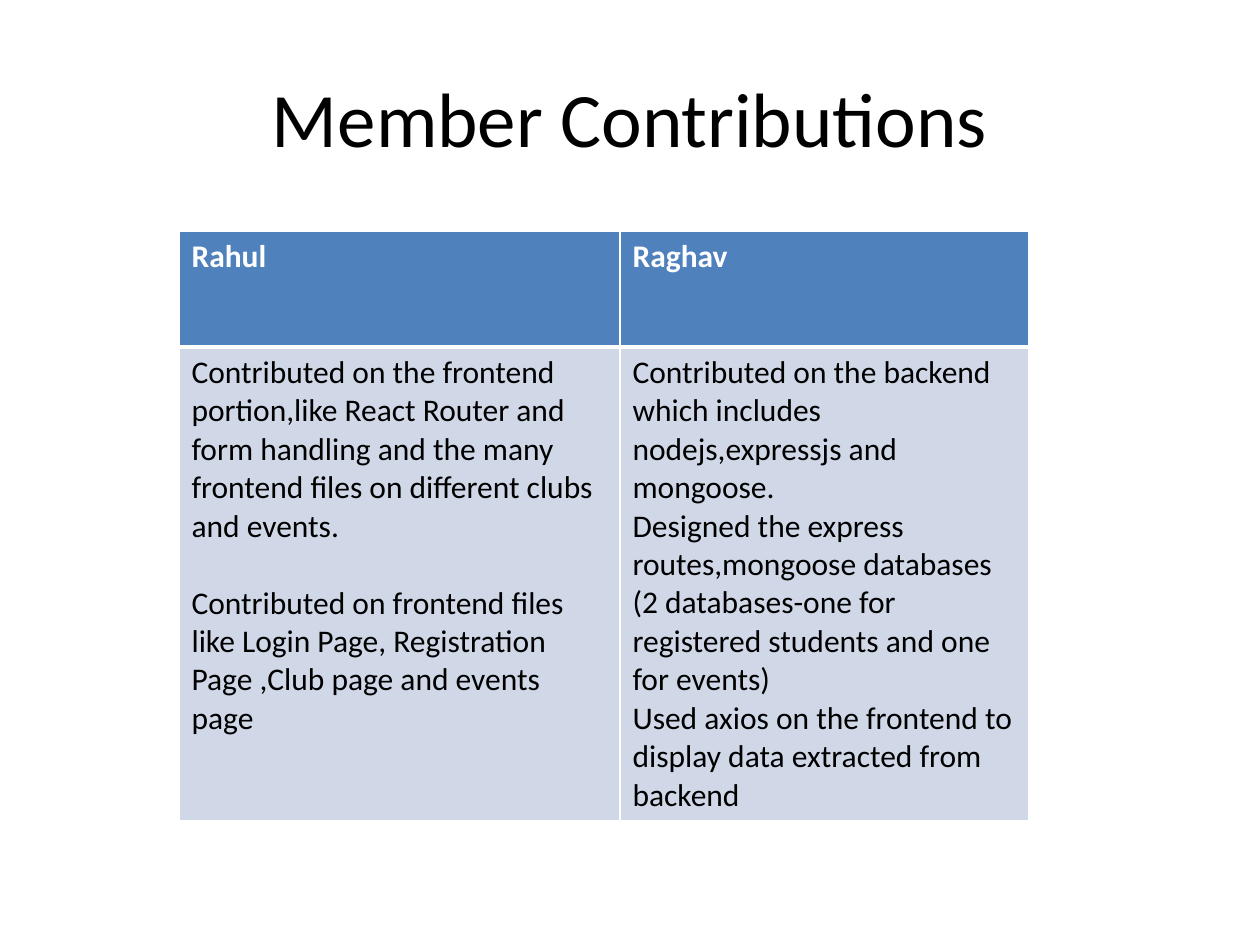
from dataclasses import dataclass

from lxml.etree import SubElement
from pptx import Presentation
from pptx.dml.color import RGBColor
from pptx.enum.text import MSO_ANCHOR, PP_ALIGN
from pptx.oxml.ns import qn
from pptx.util import Emu, Pt

EMU_PER_PIXEL = 914400 / 126
FONT = "Calibri"
WHITE, BLACK = "FFFFFF", "000000"
HEADER_FILL, BODY_FILL = "4F81BD", "D0D8E8"
HEADER_HEIGHT, BODY_HEIGHT = 116, 472


@dataclass(frozen=True)
class Member:
    """One table column: a member and the work done."""
    name: str
    width: int
    contributions: tuple[str, ...]
    gap: int = 0


MEMBERS = (
    Member("Rahul", 441, (
        "Contributed on the frontend portion,like React Router and form handling "
        "and the many frontend files on different clubs and events.",
        "Contributed on frontend files like Login Page, Registration Page ,"
        "Club page and events page",
    ), gap=22),
    Member("Raghav", 409, (
        "Contributed on the backend which includes nodejs,expressjs and mongoose.",
        "Designed the express routes,mongoose databases",
        "(2 databases-one for registered students and one for events)",
        "Used axios on the frontend to display data extracted from backend",
    )),
)


def pixels(value: int) -> Emu:
    """Turn pixels into EMU."""
    return Emu(round(value * EMU_PER_PIXEL))


def color(value: str) -> RGBColor:
    """Turn a hex string into a colour."""
    return RGBColor.from_string(value)


def add_text(paragraph, text: str, size: int, text_color: str, bold: bool = False) -> None:
    """Add one formatted run to a paragraph."""
    run = paragraph.add_run()
    run.text = text
    run.font.name = FONT
    run.font.size = Pt(size)
    run.font.bold = bold
    run.font.color.rgb = color(text_color)


def add_border(cell, side: str, width: float) -> None:
    """Draw one white cell border."""
    properties = cell._tc.get_or_add_tcPr()
    line = SubElement(properties, qn(f"a:ln{side}"), w=str(Pt(width)))
    fill = SubElement(line, qn("a:solidFill"))
    SubElement(fill, qn("a:srgbClr"), val=WHITE)


def fill_cell(cell, texts: tuple[str, ...], header: bool, gap: int = 0) -> None:
    """Write a cell's paragraphs and set its borders and fill."""
    widths = {"L": 1, "R": 1, "T": 1 if header else 3, "B": 3 if header else 1}
    for side, width in widths.items():
        add_border(cell, side, width)
    cell.fill.solid()
    cell.fill.fore_color.rgb = color(HEADER_FILL if header else BODY_FILL)
    frame = cell.text_frame
    for index, text in enumerate(texts):
        paragraph = frame.add_paragraph() if index else frame.paragraphs[0]
        if index and gap:
            paragraph.space_before = Pt(gap)
        add_text(paragraph, text, 18, WHITE if header else BLACK, header)


def add_title(slide, text: str) -> None:
    """Place and format the title."""
    title = slide.shapes.title
    title.left, title.top, title.width, title.height = map(pixels, (63, 38, 1134, 157))
    title.text_frame.vertical_anchor = MSO_ANCHOR.MIDDLE
    paragraph = title.text_frame.paragraphs[0]
    paragraph.alignment = PP_ALIGN.CENTER
    add_text(paragraph, text, 44, BLACK)


def add_member_table(slide) -> None:
    """Draw the table with one column for each member."""
    width = sum(member.width for member in MEMBERS)
    frame = slide.shapes.add_table(
        2, len(MEMBERS), pixels(179), pixels(231),
        pixels(width), pixels(HEADER_HEIGHT + BODY_HEIGHT))
    table = frame.table
    for row, height in zip(table.rows, (HEADER_HEIGHT, BODY_HEIGHT)):
        row.height = pixels(height)
    for index, member in enumerate(MEMBERS):
        table.columns[index].width = pixels(member.width)
        fill_cell(table.cell(0, index), (member.name,), header=True)
        fill_cell(table.cell(1, index), member.contributions, header=False, gap=member.gap)


def main() -> None:
    """Build and save the slide."""
    presentation = Presentation()
    presentation.slide_width, presentation.slide_height = pixels(1260), pixels(945)
    slide = presentation.slides.add_slide(presentation.slide_layouts[5])
    add_title(slide, "Member Contributions")
    add_member_table(slide)
    presentation.save("out.pptx")


main()
